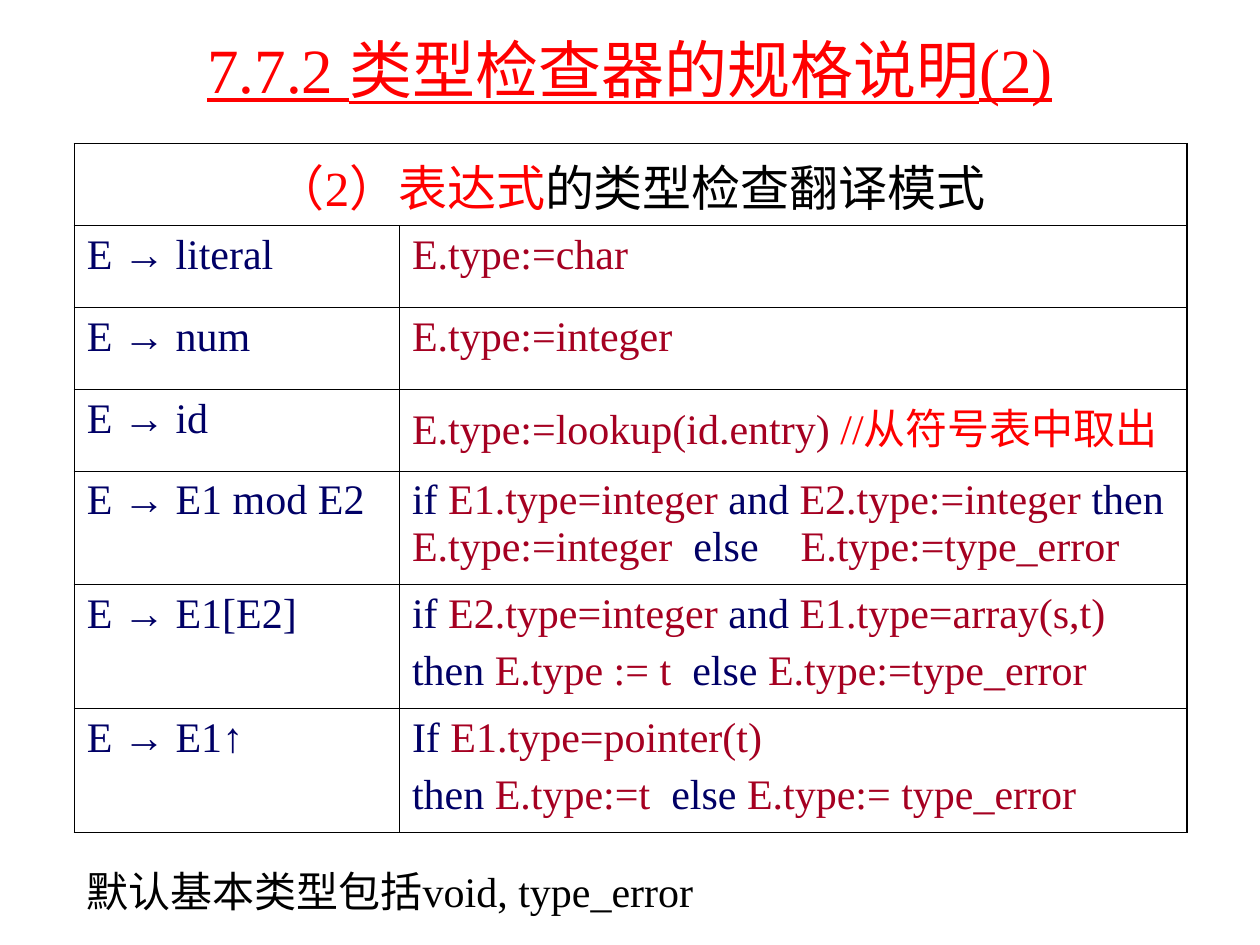
import pptx
import pptx.util
import pptx.dml.color
import pptx.enum.text
import pptx.oxml
import pptx.oxml.ns
import lxml.etree

Inches, Pt = pptx.util.Inches, pptx.util.Pt
ALIGN = pptx.enum.text.PP_ALIGN
ANCHOR = pptx.enum.text.MSO_ANCHOR

THEME = {
    "font": "Times New Roman", "symbol_font": "Arial",
    "red": "FF0000", "black": "000000", "navy": "000066", "crimson": "A50021",
    "title_size": 36, "header_size": 28, "body_size": 24,
    "outer_line": 1.08, "inner_line": 0.45,
}

# A paragraph is a list of (colour, text) spans; a cell is a list of paragraphs.
TITLE = [("red", "7.7.2 类型检查器的规格说明(2)")]
HEADER = [("red", "（2）表达式"), ("black", "的类型检查翻译模式")]
FOOTNOTE = [("black", "默认基本类型包括void, type_error")]
RULES = [
    ("E → literal", [[("crimson", "E.type:=char")]]),
    ("E → num", [[("crimson", "E.type:=integer")]]),
    ("E → id", [[("crimson", "E.type:=lookup(id.entry) "), ("red", "//从符号表中取出")]]),
    ("E → E1 mod E2", [[
        ("navy", "if "), ("crimson", "E1.type=integer "), ("navy", "and"),
        ("crimson", " E2.type:=integer "), ("navy", "then"),
        ("crimson", " E.type:=integer "), ("navy", " else  "),
        ("crimson", "  E.type:=type_error")]]),
    ("E → E1[E2]", [
        [("navy", "if "), ("crimson", "E2.type=integer "), ("navy", "and"),
         ("crimson", " E1.type=array(s,t)")],
        [("navy", "then "), ("crimson", "E.type := t  "), ("navy", "else"),
         ("crimson", " E.type:=type_error")]]),
    ("E → E1↑", [
        [("navy", "If"), ("crimson", " E1.type=pointer(t)")],
        [("navy", "then"), ("crimson", " E.type:=t  "), ("navy", "else"),
         ("crimson", " E.type:= type_error")]]),
]
COLUMN_WIDTHS = [2.58, 6.25]
ROW_HEIGHTS = [0.65] * 4 + [0.9] + [0.98] * 2


def write(frame, paragraphs, size, align=ALIGN.LEFT, underline=None):
    for index, spans in enumerate(paragraphs):
        para = frame.add_paragraph() if index else frame.paragraphs[0]
        para.alignment = align
        if index:
            para.space_before = Pt(6)
        para.font.name = THEME["font"]
        para.font.size = Pt(size)
        para.font.underline = underline
        for colour, text in spans:
            span = para.add_run()
            span.text = text
            span.font.color.rgb = pptx.dml.color.RGBColor.from_string(THEME[colour])
            if text == "↑":
                span.font.name = THEME["symbol_font"]


def add_text(page, area, spans, size, **style):
    box = page.shapes.add_textbox(*map(Inches, area))
    box.text_frame.word_wrap = True
    write(box.text_frame, [spans], size, **style)
    return box.text_frame


def add_borders(cell, outer_sides):
    properties = cell._tc.get_or_add_tcPr()
    for side in "LRTB":
        width = THEME["outer_line" if side in outer_sides else "inner_line"]
        line = lxml.etree.SubElement(
            properties, pptx.oxml.ns.qn("a:ln" + side), w=str(int(Pt(width))))
        fill = lxml.etree.SubElement(line, pptx.oxml.ns.qn("a:solidFill"))
        lxml.etree.SubElement(fill, pptx.oxml.ns.qn("a:srgbClr"), val=THEME["black"])
    cell.fill.background()


def add_rule_table(page):
    rows, columns = len(ROW_HEIGHTS), len(COLUMN_WIDTHS)
    table = page.shapes.add_table(
        rows, columns, Inches(0.59), Inches(1.14),
        Inches(sum(COLUMN_WIDTHS)), Inches(sum(ROW_HEIGHTS))).table
    table.first_row = table.horz_banding = False
    for column, width in zip(table.columns, COLUMN_WIDTHS):
        column.width = Inches(width)
    for row, height in zip(table.rows, ROW_HEIGHTS):
        row.height = Inches(height)

    table.cell(0, 0).merge(table.cell(0, columns - 1))
    write(table.cell(0, 0).text_frame, [HEADER], THEME["header_size"], ALIGN.CENTER)
    table.cell(0, 0).vertical_anchor = ANCHOR.MIDDLE
    for number, (production, action) in enumerate(RULES, start=1):
        body, arrow, _ = production.partition("↑")
        left = [("navy", text) for text in (body, arrow) if text]
        for column, paragraphs in enumerate(([left], action)):
            write(table.cell(number, column).text_frame, paragraphs, THEME["body_size"])

    for row in range(rows):
        for column in range(columns):
            outer = {"L": column == 0, "R": column == columns - 1 or row == 0,
                     "T": row == 0, "B": row == rows - 1}
            add_borders(table.cell(row, column), [s for s in outer if outer[s]])


def main():
    deck = pptx.Presentation()
    deck.slide_width, deck.slide_height = Inches(10), Inches(7.5)
    page = deck.slides.add_slide(deck.slide_layouts[6])
    title = add_text(page, (0.75, 0.25, 8.5, 0.58), TITLE, THEME["title_size"],
                     align=ALIGN.CENTER, underline=True)
    title.vertical_anchor = ANCHOR.MIDDLE
    add_rule_table(page)
    add_text(page, (0.59, 6.82, 5.4, 0.5), FOOTNOTE, THEME["body_size"])
    deck.save("out.pptx")


if __name__ == "__main__":
    main()
